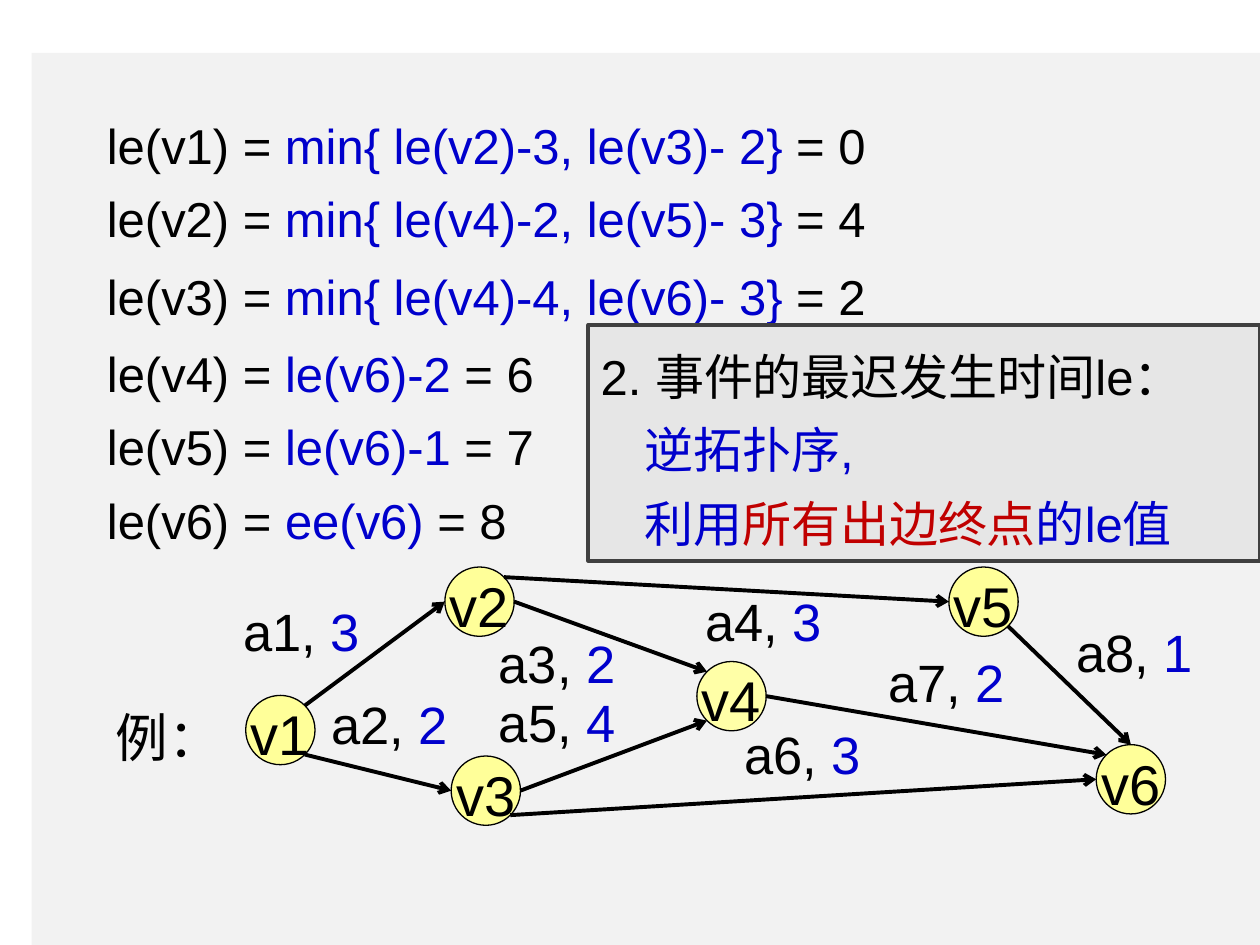
"""Build the slide on latest event times in an activity network."""
from dataclasses import dataclass
from math import cos, radians, sin

from lxml.etree import SubElement
from pptx import Presentation
from pptx.dml.color import RGBColor
from pptx.enum.shapes import MSO_CONNECTOR, MSO_SHAPE
from pptx.enum.text import MSO_ANCHOR, MSO_AUTO_SIZE, PP_ALIGN
from pptx.oxml.ns import qn
from pptx.util import Pt


@dataclass(frozen=True)
class Theme:
    font: str = "Arial"
    black: str = "000000"
    blue: str = "0000CC"
    red: str = "C00000"
    panel: str = "F2F2F2"
    note: str = "E6E6E6"
    note_border: str = "404040"
    node: str = "FFFF99"
    pale_node: str = "FFFFA7"
    formula_size: int = 28
    label_size: int = 30
    node_size: int = 32


THEME = Theme()
DIAMETER = 39.6
ANGLES = {"right": 0, "bottom right": 45, "bottom left": 135,
          "left": 180, "top left": 225, "top": 270, "top right": 315}

FORMULAS = [
    (54, "le(v1) = ", "min{ le(v2)-3, le(v3)- 2} ", "= 0", 453.6),
    (95.8, "le(v2) = ", "min{ le(v4)-2, le(v5)- 3} ", "= 4", 453.6),
    (140.4, "le(v3) = ", "min{ le(v4)-4, le(v6)- 3} ", "= 2", 453.6),
    (184.3, "le(v4) = ", "le(v6)-2 ", "= 6", 262),
    (226.1, "le(v5) = ", "le(v6)-1 ", "= 7", 262),
    (268.6, "le(v6) = ", "ee(v6) ", "= 8", 246.2),
]
NODES = {
    "v1": (140.4, 397.4, THEME.node),
    "v2": (254.2, 324, THEME.node),
    "v3": (257.8, 432, THEME.node),
    "v4": (398.2, 378, THEME.pale_node),
    "v5": (542.2, 324, THEME.node),
    "v6": (626.4, 425.5, THEME.node),
}
EDGES = [
    ("v1", "top right", "v2", "left"),
    ("v1", "bottom right", "v3", "left"),
    ("v2", "right", "v4", "top left"),
    ("v2", "top right", "v5", "left"),
    ("v3", "right", "v4", "bottom left"),
    ("v3", "bottom right", "v6", "left"),
    ("v4", "right", "v6", "top left"),
    ("v5", "bottom right", "v6", "top"),
]
EDGE_LABELS = [
    ("a1", 3, 132, 329.8), ("a2", 2, 182.2, 383),
    ("a3", 2, 277.9, 347.8), ("a4", 3, 396, 324),
    ("a5", 4, 278, 382), ("a6", 3, 418.3, 400),
    ("a7", 2, 500.4, 359), ("a8", 1, 608, 342),
]


def color(value):
    """Turn a hex string into a colour."""
    return RGBColor.from_string(value)


def write_runs(paragraph, parts, size, spacing=1.25):
    """Fill a paragraph with (text, colour) parts."""
    paragraph.line_spacing = spacing
    for text, tint in parts:
        run = paragraph.add_run()
        run.text = text
        run.font.name = THEME.font
        run.font.size = Pt(size)
        run.font.color.rgb = color(tint)


def add_label(slide, left, top, width, height, parts, size):
    """Add an unwrapped line of text."""
    box = slide.shapes.add_textbox(Pt(left), Pt(top), Pt(width), Pt(height))
    box.text_frame.word_wrap = False
    box.text_frame.auto_size = MSO_AUTO_SIZE.SHAPE_TO_FIT_TEXT
    write_runs(box.text_frame.paragraphs[0], parts, size)


def add_filled_shape(slide, kind, bounds, fill, border=None, weight=0.75):
    """Add a flat preset shape."""
    shape = slide.shapes.add_shape(kind, *map(Pt, bounds))
    shape.shadow.inherit = False
    shape.fill.solid()
    shape.fill.fore_color.rgb = color(fill)
    if border:
        shape.line.color.rgb = color(border)
        shape.line.width = Pt(weight)
    else:
        shape.line.fill.background()
    return shape


def add_note(slide):
    """Add the framed rule for latest event times."""
    shape = add_filled_shape(slide, MSO_SHAPE.RECTANGLE, (336.2, 185.8, 383.8, 134.6),
                             THEME.note, THEME.note_border, 2.25)
    frame = shape.text_frame
    frame.word_wrap = True
    frame.vertical_anchor = MSO_ANCHOR.TOP
    lines = [
        [("2. 事件的最迟发生时间le：", THEME.black)],
        [("逆拓扑序,", THEME.blue)],
        [("利用", THEME.blue), ("所有出边终点", THEME.red), ("的le值", THEME.blue)],
    ]
    for index, parts in enumerate(lines):
        paragraph = frame.add_paragraph() if index else frame.paragraphs[0]
        paragraph.alignment = PP_ALIGN.LEFT
        if index:
            paragraph._p.get_or_add_pPr().set("marL", str(Pt(25)))
        write_runs(paragraph, parts, THEME.formula_size)


def add_node(slide, name, left, top, fill):
    """Add one event circle."""
    shape = add_filled_shape(slide, MSO_SHAPE.OVAL, (left, top, DIAMETER, DIAMETER),
                             fill, THEME.black)
    frame = shape.text_frame
    frame.word_wrap = False
    frame.vertical_anchor = MSO_ANCHOR.MIDDLE
    frame.paragraphs[0].alignment = PP_ALIGN.CENTER
    write_runs(frame.paragraphs[0], [(name, THEME.black)], THEME.node_size, 1.1)


def rim_point(name, side):
    """Find the point on a node's rim at a named side."""
    left, top, _ = NODES[name]
    angle = radians(ANGLES[side])
    radius = DIAMETER / 2
    return Pt(left + radius * (1 + cos(angle))), Pt(top + radius * (1 + sin(angle)))


def add_edge(slide, source, source_side, target, target_side):
    """Add an arrow between two nodes."""
    connector = slide.shapes.add_connector(
        MSO_CONNECTOR.STRAIGHT, *rim_point(source, source_side),
        *rim_point(target, target_side))
    connector.line.color.rgb = color(THEME.black)
    connector.line.width = Pt(2.25)
    SubElement(connector.line._get_or_add_ln(), qn("a:tailEnd"), type="arrow")
    SubElement(connector._element.spPr, qn("a:effectLst"))


def main():
    """Build and save the presentation."""
    presentation = Presentation()
    presentation.slide_width, presentation.slide_height = Pt(720), Pt(540)
    slide = presentation.slides.add_slide(presentation.slide_layouts[6])
    add_filled_shape(slide, MSO_SHAPE.RECTANGLE, (18, 30.2, 702, 509.8), THEME.panel)
    for top, start, middle, end, width in FORMULAS:
        parts = [(start, THEME.black), (middle, THEME.blue), (end, THEME.black)]
        add_label(slide, 54, top, width, 49.7, parts, THEME.formula_size)
    add_note(slide)
    for name, (left, top, fill) in NODES.items():
        add_node(slide, name, left, top, fill)
    for edge in EDGES:
        add_edge(slide, *edge)
    for name, weight, left, top in EDGE_LABELS:
        parts = [(f"{name}, ", THEME.black), (str(weight), THEME.blue)]
        add_label(slide, left, top, 82.1, 48.2, parts, THEME.label_size)
    add_label(slide, 59, 390.2, 74.9, 48.2, [("例：", THEME.black)], THEME.label_size)
    presentation.save("out.pptx")


if __name__ == "__main__":
    main()
